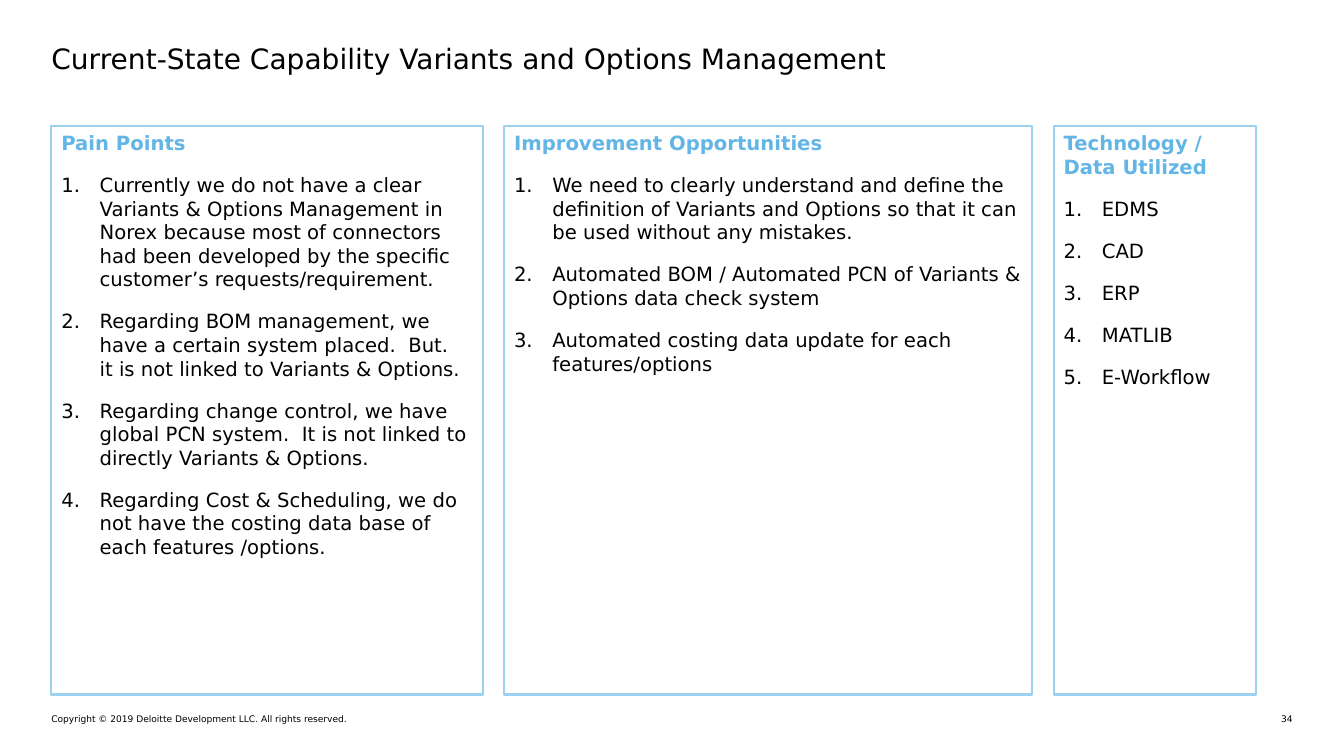
from lxml import etree
from pptx import Presentation
from pptx import util as u
from pptx.dml.color import RGBColor
from pptx.enum import shapes, text
from pptx.oxml import ns

PX = 9144  # 100 px to the inch
FONT = "DejaVu Sans"
BLACK = RGBColor(0x00, 0x00, 0x00)
BLUE = RGBColor(0x62, 0xB5, 0xE5)
EDGE = RGBColor(0x9B, 0xD0, 0xEE)

LEFT, TOP, TALL, GAP = 51, 125, 564, 21
INDENT = 38

PANELS = [
    ("Pain Points", 428, [
        "Currently we do not have a clear Variants & Options Management in "
        "Norex because most of connectors had been developed by the specific "
        "customer’s requests/requirement.",
        "Regarding BOM management, we have a certain system placed.  But.  "
        "it is not linked to Variants & Options.",
        "Regarding change control, we have global PCN system.  It is not "
        "linked to directly Variants & Options.",
        "Regarding Cost & Scheduling, we do not have the costing data base "
        "of each features /options.",
    ]),
    ("Improvement Opportunities", 524, [
        "We need to clearly understand and define the definition of Variants "
        "and Options so that it can be used without any mistakes.",
        "Automated BOM / Automated PCN of Variants & Options data check system",
        "Automated costing data update for each features/options",
    ]),
    ("Technology / Data Utilized", 201,
     ["EDMS", "CAD", "ERP", "MATLIB", "E-Workflow"]),
]


def add_run(para, words, size, color=BLACK, bold=False):
    run = para.add_run()
    run.text = words
    font = run.font
    font.name, font.size, font.bold = FONT, u.Pt(size), bold
    font.color.rgb = color


def number(para):
    """Give a paragraph an automatic number and a hanging indent."""
    props = para._p.get_or_add_pPr()
    props.set("marL", str(INDENT * PX))
    props.set("indent", str(-INDENT * PX))
    mark = etree.SubElement(props, ns.qn("a:buFont"))
    mark.set("typeface", "+mj-lt")
    mark = etree.SubElement(props, ns.qn("a:buAutoNum"))
    mark.set("type", "arabicPeriod")


def add_label(slide, box, words, size, align=text.PP_ALIGN.LEFT):
    label = slide.shapes.add_textbox(*(n * PX for n in box))
    frame = label.text_frame
    frame.word_wrap = True
    frame.margin_left = frame.margin_right = 0
    frame.margin_top = frame.margin_bottom = 0
    para = frame.paragraphs[0]
    para.alignment = align
    add_run(para, words, size)


def add_panel(slide, left, width, head, items):
    panel = slide.shapes.add_shape(
        shapes.MSO_SHAPE.RECTANGLE,
        left * PX, TOP * PX, width * PX, TALL * PX)
    panel.shadow.inherit = False
    panel.fill.background()
    panel.line.color.rgb = EDGE
    panel.line.width = u.Pt(1.5)
    frame = panel.text_frame
    frame.word_wrap = True
    frame.vertical_anchor = text.MSO_ANCHOR.TOP

    # Heading, then the numbered list
    para = frame.paragraphs[0]
    add_run(para, head, 14, BLUE, True)
    for item in items:
        para = frame.add_paragraph()
        number(para)
        add_run(para, item, 14)
    for para in frame.paragraphs:
        para.alignment = text.PP_ALIGN.LEFT
        para.space_after = u.Pt(13.3)


def main():
    deck = Presentation()
    deck.slide_width, deck.slide_height = 1333 * PX, 750 * PX
    slide = deck.slides.add_slide(deck.slide_layouts[6])

    # Title
    add_label(slide, (LEFT, 41, 1231, 37),
              "Current-State Capability Variants and Options Management", 20)

    # Three panels side by side
    left = LEFT
    for head, width, items in PANELS:
        add_panel(slide, left, width, head, items)
        left += width + GAP

    # Footer
    add_label(slide, (LEFT, 708, 586, 11),
              "Copyright © 2019 Deloitte Development LLC. All rights reserved.",
              6.5)
    add_label(slide, (1248, 708, 34, 11), "34", 6.5, text.PP_ALIGN.RIGHT)

    deck.save("out.pptx")


if __name__ == "__main__":
    main()
